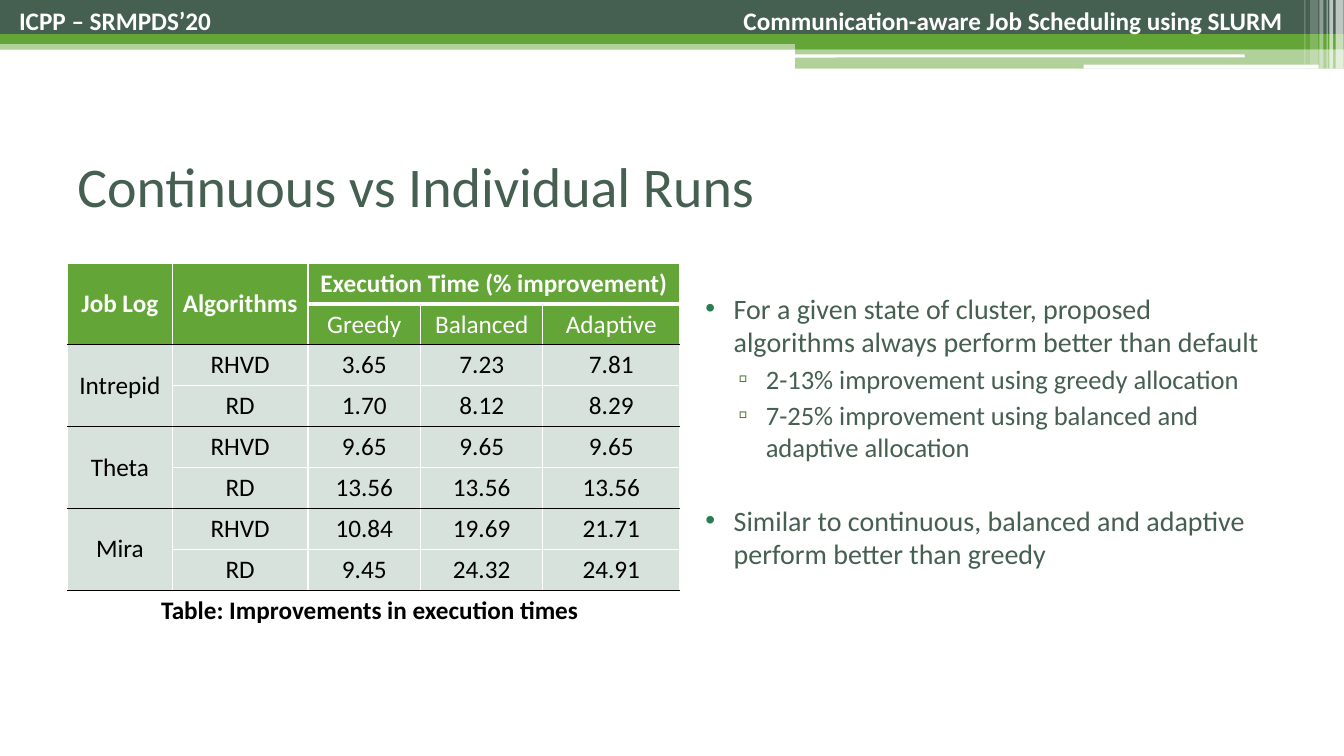
from lxml import etree
from pptx import Presentation
from pptx.dml.color import RGBColor
from pptx.enum.shapes import MSO_SHAPE
from pptx.enum.text import MSO_ANCHOR, PP_ALIGN
from pptx.oxml.ns import qn
from pptx.util import Cm, Pt

RECT, ROUND = MSO_SHAPE.RECTANGLE, MSO_SHAPE.ROUNDED_RECTANGLE
LEFT, CENTER = PP_ALIGN.LEFT, PP_ALIGN.CENTER
TOP, MIDDLE = MSO_ANCHOR.TOP, MSO_ANCHOR.MIDDLE
FONT = "Calibri"
DARK, GREEN, PALE = "455F51", "63A537", "D7E2DC"
WHITE, BLACK = "FFFFFF", "000000"

# left, top, width, height (cm), fill, opacity in percent
BANDS = [
    (0, 1.02, 33.87, 0.23, GREEN, 50),
    (0, 0, 33.87, 0.86, DARK, 100),
    (0, 0.86, 33.87, 0.25, GREEN, 100),
    (20.04, 0.99, 13.83, 0.25, GREEN, 100),
    (20.04, 1.22, 13.83, 0.51, GREEN, 50),
]
HIGHLIGHTS = [(20.02, 1.37, 11.35, 0.08), (27.31, 1.63, 5.92, 0.1)]
# left, width, height (cm), opacity of the white stripes
STRIPES = [
    (33.66, 0.2, 1.73, 65), (33.5, 0.1, 1.73, 65), (33.43, 0.03, 1.73, 60),
    (33.25, 0.1, 1.73, 40), (33.02, 0.2, 1.63, 20), (32.87, 0.03, 1.63, 30),
]

COLUMN_WIDTHS = [2.64, 3.42, 2.84, 3.08, 3.45]
ROW_HEIGHT = 1.03
HEADER = [
    ["Job Log", "Algorithms", "Execution Time (% improvement)", "", ""],
    ["", "", "Greedy", "Balanced", "Adaptive"],
]
RESULTS = [
    ["Intrepid", "RHVD", "3.65", "7.23", "7.81"],
    ["", "RD", "1.70", "8.12", "8.29"],
    ["Theta", "RHVD", "9.65", "9.65", "9.65"],
    ["", "RD", "13.56", "13.56", "13.56"],
    ["Mira", "RHVD", "10.84", "19.69", "21.71"],
    ["", "RD", "9.45", "24.32", "24.91"],
]
# first row, first column, last row, last column
MERGES = [(0, 0, 1, 0), (0, 1, 1, 1), (0, 2, 0, 4),
          (2, 0, 3, 0), (4, 0, 5, 0), (6, 0, 7, 0)]

# level, space before (pt), text
FINDINGS = [
    (0, 0, "For a given state of cluster, proposed algorithms always "
           "perform better than default"),
    (1, 3, "2-13% improvement using greedy allocation"),
    (1, 3, "7-25% improvement using balanced and adaptive allocation"),
    (0, 29, "Similar to continuous, balanced and adaptive perform better "
            "than greedy"),
]
# per level: bullet, its colour, text indent (cm), hanging (cm), size (pt)
BULLETS = [("•", "297D53", 1.02, 0.71, 20), ("▫", "4A7C29", 1.83, 0.69, 19)]


def rgb(color):
    return RGBColor.from_string(color)


def add_child(parent, tag, **attributes):
    return etree.SubElement(parent, qn(tag),
                            {k: str(v) for k, v in attributes.items()})


def write(p, text, size=18, color=BLACK, bold=False, align=LEFT, before=0):
    r = p.add_run()
    r.text = text
    p.alignment = align
    p.space_before = Pt(before)
    r.font.name, r.font.size, r.font.bold = FONT, Pt(size), bold
    r.font.color.rgb = rgb(color)


def set_bullet(p, char, color, indent, hanging):
    pPr = p._p.get_or_add_pPr()
    pPr.set("marL", str(Cm(indent)))
    pPr.set("indent", str(-Cm(hanging)))
    add_child(add_child(pPr, "a:buClr"), "a:srgbClr", val=color)
    add_child(pPr, "a:buFont", typeface="Arial")
    add_child(pPr, "a:buChar", char=char)


def set_borders(cell, bottom, bottom_width, top):
    """Draw white side borders and the given top and bottom borders."""
    tcPr = cell._tc.get_or_add_tcPr()
    edges = [("L", WHITE, 1), ("R", WHITE, 1), ("T", top, 1),
             ("B", bottom, bottom_width)]
    for i, (side, color, width) in enumerate(edges):
        ln = etree.Element(qn(f"a:ln{side}"), w=str(Pt(width)))
        add_child(add_child(ln, "a:solidFill"), "a:srgbClr", val=color)
        tcPr.insert(i, ln)


class SlideBuilder:
    def __init__(self, prs):
        self.s = prs.slides.add_slide(prs.slide_layouts[6])

    def block(self, x, y, w, h, color, opacity=100, kind=RECT):
        sp = self.s.shapes.add_shape(kind, Cm(x), Cm(y), Cm(w), Cm(h))
        sp.shadow.inherit = False
        sp.line.fill.background()
        sp.fill.solid()
        sp.fill.fore_color.rgb = rgb(color)
        if opacity < 100:
            clr = sp._element.spPr.find(".//" + qn("a:srgbClr"))
            add_child(clr, "a:alpha", val=opacity * 1000)

    def frame(self, x, y, w, h, anchor=TOP):
        tf = self.s.shapes.add_textbox(Cm(x), Cm(y), Cm(w), Cm(h)).text_frame
        tf.word_wrap = True
        tf.vertical_anchor = anchor
        return tf

    def text(self, x, y, w, h, text, anchor=TOP, **style):
        write(self.frame(x, y, w, h, anchor).paragraphs[0], text, **style)

    def running_head(self, left, right, tab):
        tf = self.frame(0, 0, 32.87, 1.02)
        tf.margin_left = Cm(0.48)
        p = tf.paragraphs[0]
        tabs = add_child(p._p.get_or_add_pPr(), "a:tabLst")
        add_child(tabs, "a:tab", pos=Cm(tab), algn="r")
        write(p, f"{left}\t{right}", color=WHITE, bold=True)

    def bullets(self, x, y, w, h, items):
        tf = self.frame(x, y, w, h)
        for i, (level, before, text) in enumerate(items):
            p = tf.add_paragraph() if i else tf.paragraphs[0]
            p.level = level
            *bullet, size = BULLETS[level]
            set_bullet(p, *bullet)
            write(p, text, size=size, color=DARK, before=before)

    def table(self, x, y, header, body):
        rows = header + body
        table = self.s.shapes.add_table(
            len(rows), len(COLUMN_WIDTHS), Cm(x), Cm(y),
            Cm(sum(COLUMN_WIDTHS)), Cm(ROW_HEIGHT * len(rows))).table
        table.first_row = table.horz_banding = False
        for column, width in zip(table.columns, COLUMN_WIDTHS):
            column.width = Cm(width)
        for i, values in enumerate(rows):
            table.rows[i].height = Cm(ROW_HEIGHT)
            for j, value in enumerate(values):
                self.cell(table.cell(i, j), value, i, j, i < len(header))
        for top, left, bottom, right in MERGES:
            table.cell(top, left).merge(table.cell(bottom, right))

    def cell(self, cell, value, i, j, is_header):
        cell.fill.solid()
        cell.fill.fore_color.rgb = rgb(GREEN if is_header else PALE)
        cell.vertical_anchor = MIDDLE
        cell.margin_left = cell.margin_right = Cm(0.15)
        ends_group = i % 2 == 1 or (j == 0 and i > 0)
        set_borders(cell, BLACK if ends_group else WHITE,
                    3 if i == 0 and j > 1 else 1,
                    BLACK if i > 0 and i % 2 == 0 else WHITE)
        if value:
            write(cell.text_frame.paragraphs[0], value, align=CENTER,
                  color=WHITE if is_header else BLACK, bold=i == 0)


def main():
    prs = Presentation()
    prs.slide_width, prs.slide_height = Cm(33.87), Cm(19.05)
    slide = SlideBuilder(prs)
    for band in BANDS:
        slide.block(*band)
    for highlight in HIGHLIGHTS:
        slide.block(*highlight, WHITE, kind=ROUND)
    for x, w, h, opacity in STRIPES:
        slide.block(x, 0, w, h, WHITE, opacity)
    slide.text(1.7, 3.18, 30.48, 2.97, "Continuous vs Individual Runs",
               anchor=MIDDLE, size=40, color=DARK)
    slide.bullets(17.22, 7.21, 14.96, 11.1, FINDINGS)
    slide.table(1.7, 6.63, HEADER, RESULTS)
    slide.text(1.7, 14.86, 15.24, 1.02,
               "Table: Improvements in execution times",
               bold=True, align=CENTER)
    slide.running_head("ICPP – SRMPDS’20",
                       "Communication-aware Job Scheduling using SLURM", 31.85)
    prs.save("out.pptx")


if __name__ == "__main__":
    main()
